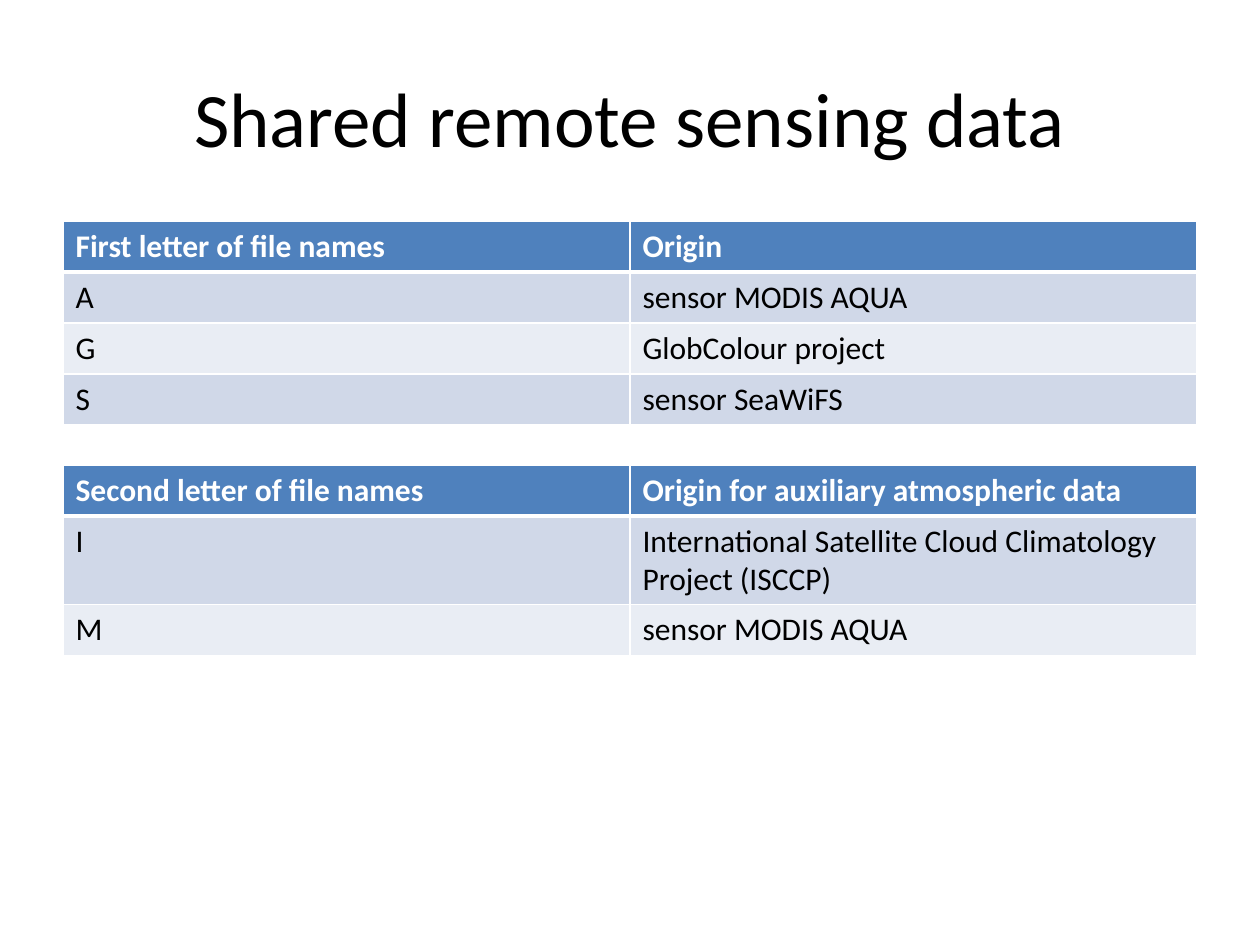
from pptx import Presentation
from pptx.dml.color import RGBColor
from pptx.enum.text import MSO_ANCHOR, PP_ALIGN
from pptx.oxml import parse_xml
from pptx.oxml.ns import nsdecls
from pptx.util import Pt

PX = 914400 // 126
INK = {"head": "4F81BD", "odd": "D0D8E8", "even": "E9EDF4",
       "white": "FFFFFF", "black": "000000"}
LEFT, WIDE, ROW = 63, 1134, 51


def style(para, size, ink, bold=False):
    font = para.font
    font.name, font.size, font.bold = "Calibri", Pt(size), bold
    font.color.rgb = RGBColor.from_string(INK[ink])


def edge(cell, head):
    props = cell._tc.get_or_add_tcPr()
    for spot, side in enumerate("LRTB"):
        width = Pt(3 if head and side == "B" else 1)
        props.insert(spot, parse_xml(
            f'<a:ln{side} {nsdecls("a")} w="{width}"><a:solidFill>'
            f'<a:srgbClr val="{INK["white"]}"/></a:solidFill></a:ln{side}>'))


deck = Presentation()
deck.slide_width, deck.slide_height = 1260 * PX, 945 * PX
slide = deck.slides.add_slide(deck.slide_layouts[6])

# Title
box = slide.shapes.add_textbox(LEFT * PX, 38 * PX, WIDE * PX, 157 * PX)
frame = box.text_frame
frame.word_wrap = True
frame.vertical_anchor = MSO_ANCHOR.MIDDLE
title = frame.paragraphs[0]
title.text = "Shared remote sensing data"
title.alignment = PP_ALIGN.CENTER
style(title, 44, "black")

# Tables: top edge and rows, the first row being the header
tables = [
    (221, [("First letter of file names", "Origin"),
           ("A", "sensor MODIS AQUA"),
           ("G", "GlobColour project"),
           ("S", "sensor SeaWiFS")]),
    (465, [("Second letter of file names", "Origin for auxiliary atmospheric data"),
           ("I", "International Satellite Cloud Climatology Project (ISCCP)"),
           ("M", "sensor MODIS AQUA")]),
]
for top, rows in tables:
    grid = slide.shapes.add_table(len(rows), 2, LEFT * PX, top * PX,
                                  WIDE * PX, len(rows) * ROW * PX).table
    for r, row in enumerate(rows):
        head = r == 0
        fill = "head" if head else "odd" if r % 2 else "even"
        for c, text in enumerate(row):
            cell = grid.cell(r, c)
            cell.text = text
            cell.fill.solid()
            cell.fill.fore_color.rgb = RGBColor.from_string(INK[fill])
            style(cell.text_frame.paragraphs[0], 18,
                  "white" if head else "black", head)
            edge(cell, head)

deck.save("out.pptx")
